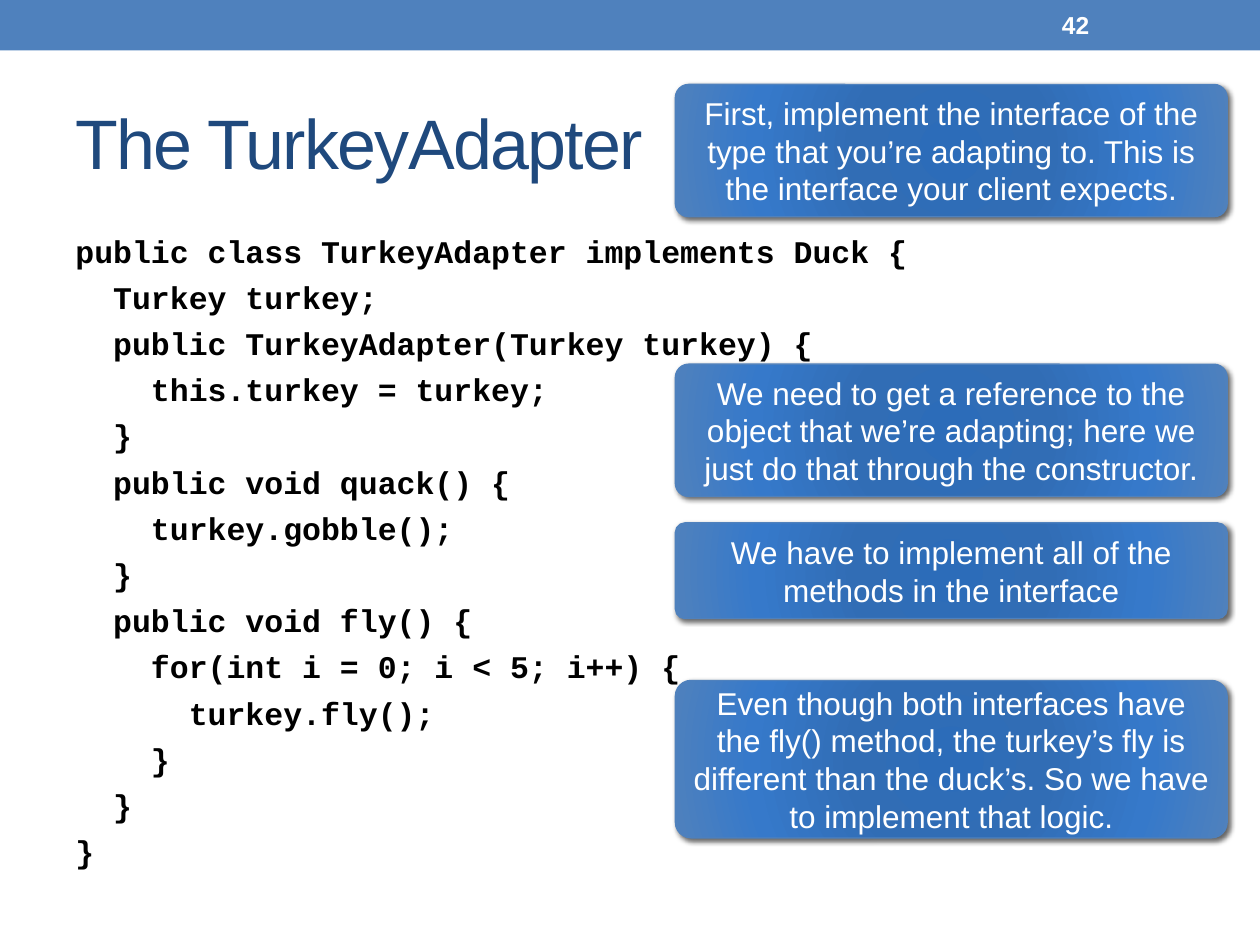
from dataclasses import dataclass

from lxml import etree
from pptx import Presentation
from pptx.dml.color import RGBColor
from pptx.enum.shapes import MSO_SHAPE
from pptx.enum.text import MSO_ANCHOR, MSO_AUTO_SIZE, PP_ALIGN
from pptx.oxml import parse_xml
from pptx.oxml.ns import nsdecls, qn
from pptx.util import Inches, Pt

RECTANGLE = MSO_SHAPE.RECTANGLE
ROUNDED = MSO_SHAPE.ROUNDED_RECTANGLE
TOP, MIDDLE = MSO_ANCHOR.TOP, MSO_ANCHOR.MIDDLE
LEFT, CENTER = PP_ALIGN.LEFT, PP_ALIGN.CENTER
NO_AUTOFIT = MSO_AUTO_SIZE.NONE


@dataclass(frozen=True)
class Theme:
    accent: str = "4F81BD"
    heading: str = "1F497D"
    code: str = "000000"
    light: str = "FFFFFF"
    gradient: tuple = ((0, "2C6CB9"), (34, "316DB5"), (70, "3679CA"), (100, "4F81BD"))
    sans: str = "Arial"
    mono: str = "Courier New"
    title_size: int = 40
    text_size: int = 18
    number_size: int = 14


THEME = Theme()

CODE = """\
public class TurkeyAdapter implements Duck {
  Turkey turkey;
  public TurkeyAdapter(Turkey turkey) {
    this.turkey = turkey;
  }
  public void quack() {
    turkey.gobble();
  }
  public void fly() {
    for(int i = 0; i < 5; i++) {
      turkey.fly();
    }
  }
}"""

CALLOUT_LEFT, CALLOUT_WIDTH = 5.36, 4.38
# Top, height, text
CALLOUTS = [
    (0.67, 1.05, "First, implement the interface of the type that you’re adapting to. "
                 "This is the interface your client expects."),
    (2.89, 1.05, "We need to get a reference to the object that we’re adapting; "
                 "here we just do that through the constructor."),
    (4.15, 0.76, "We have to implement all of the methods in the interface"),
    (5.4, 1.25, "Even though both interfaces have the fly() method, the turkey’s fly is "
                "different than the duck’s. So we have to implement that logic."),
]


def write_text(shape, text, font, size, color, bold=False, align=LEFT,
               anchor=MIDDLE, space_before=0):
    """Write one paragraph per line; space_before applies between paragraphs."""
    frame = shape.text_frame
    frame.text = text
    frame_format = {"word_wrap": True, "auto_size": NO_AUTOFIT, "vertical_anchor": anchor}
    for name, value in frame_format.items():
        setattr(frame, name, value)
    font_format = {"name": font, "size": Pt(size), "bold": bold}
    for index, paragraph in enumerate(frame.paragraphs):
        paragraph.alignment = align
        paragraph.space_before = Pt(space_before if index else 0)
        for run in paragraph.runs:
            for name, value in font_format.items():
                setattr(run.font, name, value)
            run.font.color.rgb = RGBColor.from_string(color)


def add_header_bar(slide):
    bar = slide.shapes.add_shape(RECTANGLE, 0, 0, Inches(10), Inches(0.4))
    bar.shadow.inherit = False
    bar.fill.solid()
    bar.fill.fore_color.rgb = RGBColor.from_string(THEME.accent)
    bar.line.fill.background()


def add_title(slide, text):
    title = slide.shapes.title
    position = {"left": 0.5, "top": 0.58, "width": 9, "height": 1.08}
    for name, value in position.items():
        setattr(title, name, Inches(value))
    write_text(title, text, THEME.sans, THEME.title_size, THEME.heading)
    for run in title.text_frame.paragraphs[0].runs:
        run.font._element.set("spc", "-100")


def add_text_box(slide, left, top, width, height, text, **text_format):
    box = slide.shapes.add_textbox(Inches(left), Inches(top), Inches(width), Inches(height))
    write_text(box, text, **text_format)


def set_radial_gradient(shape):
    shape.fill.background()
    properties = shape._element.spPr
    stops = "".join(
        f'<a:gs pos="{position * 1000}"><a:srgbClr val="{color}"/></a:gs>'
        for position, color in THEME.gradient
    )
    gradient = parse_xml(
        f'<a:gradFill {nsdecls("a")} rotWithShape="1"><a:gsLst>{stops}</a:gsLst>'
        '<a:path path="circle"><a:fillToRect l="100000" t="100000" r="100000" b="100000"/>'
        '</a:path></a:gradFill>'
    )
    properties.replace(properties.find(qn("a:noFill")), gradient)


def set_soft_shadow(shape):
    shape.shadow.inherit = False
    effects = shape._element.spPr.find(qn("a:effectLst"))
    shadow = etree.SubElement(
        effects, qn("a:outerShdw"), blurRad=str(Pt(3)), dist=str(Pt(2)),
        dir="2700000", algn="tl", rotWithShape="0",
    )
    color = etree.SubElement(shadow, qn("a:srgbClr"), val="000000")
    etree.SubElement(color, qn("a:alpha"), val="60000")


def add_callout(slide, top, height, text):
    callout = slide.shapes.add_shape(
        ROUNDED, Inches(CALLOUT_LEFT), Inches(top), Inches(CALLOUT_WIDTH), Inches(height)
    )
    callout.adjustments[0] = 0.1
    set_radial_gradient(callout)
    callout.line.color.rgb = RGBColor.from_string(THEME.accent)
    callout.line.width = Pt(0.75)
    set_soft_shadow(callout)
    write_text(callout, text, THEME.sans, THEME.text_size, THEME.light, align=CENTER)


def main():
    presentation = Presentation()
    presentation.slide_width, presentation.slide_height = Inches(10), Inches(7.5)
    slide = presentation.slides.add_slide(presentation.slide_layouts[5])

    add_header_bar(slide)
    add_title(slide, "The TurkeyAdapter")
    add_text_box(slide, 0.5, 1.79, 9, 5.29, CODE, font=THEME.mono, size=THEME.text_size,
                 color=THEME.code, bold=True, anchor=TOP, space_before=4.8)
    add_text_box(slide, 8.33, 0.02, 1.17, 0.36, "42", font=THEME.sans,
                 size=THEME.number_size, color=THEME.light, bold=True)
    for top, height, text in CALLOUTS:
        add_callout(slide, top, height, text)

    presentation.save("out.pptx")


if __name__ == "__main__":
    main()
